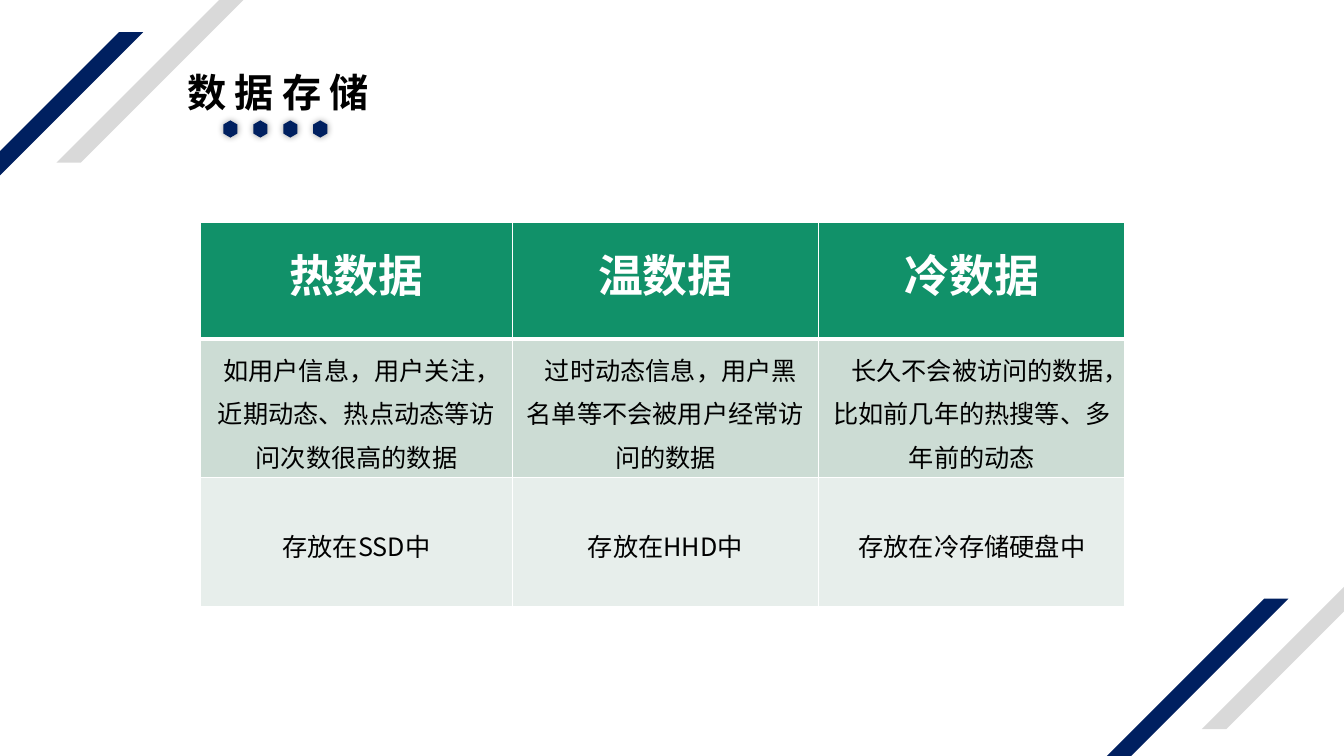
from dataclasses import dataclass
from typing import Any, NamedTuple

import lxml.etree
import pptx
import pptx.dml.color
import pptx.enum.shapes
import pptx.enum.text
import pptx.oxml.ns
import pptx.util

SLIDE_WIDTH = pptx.util.Inches(13.333)
SLIDE_HEIGHT = pptx.util.Inches(7.5)
SHAPES = pptx.enum.shapes.MSO_SHAPE
CENTER = pptx.enum.text.PP_ALIGN.CENTER


@dataclass(frozen=True)
class Theme:
    font: str = "Noto Sans CJK SC"
    navy: str = "002060"
    grey: str = "D9D9D9"
    black: str = "000000"
    white: str = "FFFFFF"
    green: str = "119169"
    sage: str = "CCDCD4"
    mist: str = "E7EEEB"
    title_size: int = 28
    heading_size: int = 32
    body_size: int = 18
    title_spacing: int = 6
    thin_rule: int = 1
    thick_rule: int = 3


THEME = Theme()


class Box(NamedTuple):
    left: float
    top: float
    width: float
    height: float


@dataclass(frozen=True)
class Ornament:
    preset: Any
    box: Box
    color: str
    adjustment: float
    rotation: int = 0
    glow: bool = False


@dataclass(frozen=True)
class StorageRow:
    height: float
    texts: tuple[str, str, str]
    fill: str
    color: str = THEME.black
    size: int = THEME.body_size
    bold: bool = False
    indent: float = 0
    margin_top: float = 0.05
    top_rule: int = THEME.thin_rule
    bottom_rule: int = THEME.thin_rule


STRIPE_CORNERS = ((-10.58, 4.27), (74.64, 79.2))
STRIPE_STEP = (14.78, -17.27)
STRIPE_SIZE = (21.23, 34.53)
STRIPES = [
    Ornament(
        SHAPES.PARALLELOGRAM,
        Box(left + order * STRIPE_STEP[0], top + order * STRIPE_STEP[1], *STRIPE_SIZE),
        color,
        1.0,
    )
    for left, top in STRIPE_CORNERS
    for order, color in enumerate((THEME.navy, THEME.grey))
]
HEXAGONS = [
    Ornament(SHAPES.HEXAGON, Box(16.5 + 2.23 * order, 16.13, 1.28, 1.87),
             THEME.navy, 0.29, 90, True)
    for order in range(4)
]
TITLE_BOX = Box(13.2, 8.4, 15.83, 7.6)
COLUMN_WIDTHS = (23.18, 22.8, 22.8)
STORAGE_ROWS = (
    StorageRow(15.33, ("热数据", "温数据", "冷数据"), THEME.green, THEME.white,
               THEME.heading_size, True, bottom_rule=THEME.thick_rule),
    StorageRow(
        18.4,
        (
            "如用户信息，用户关注，近期动态、热点动态等访问次数很高的数据",
            "过时动态信息，用户黑名单等不会被用户经常访问的数据",
            "长久不会被访问的数据，比如前几年的热搜等、多年前的动态",
        ),
        THEME.sage,
        indent=0.11,
        top_rule=THEME.thick_rule,
    ),
    StorageRow(17.07, ("存放在SSD中", "存放在HHD中", "存放在冷存储硬盘中"),
               THEME.mist, margin_top=0.42),
)
TABLE_BOX = Box(14.93, 29.47, sum(COLUMN_WIDTHS), sum(row.height for row in STORAGE_ROWS))


def across(percent: float) -> int:
    return round(SLIDE_WIDTH * percent / 100)


def down(percent: float) -> int:
    return round(SLIDE_HEIGHT * percent / 100)


def place(box: Box) -> tuple[int, int, int, int]:
    return across(box.left), down(box.top), across(box.width), down(box.height)


def apply_format(target: Any, values: dict[str, Any]) -> None:
    for attribute, value in values.items():
        setattr(target, attribute, value)


def add_node(parent: Any, tag: str, **attributes: Any) -> Any:
    values = {key: str(value) for key, value in attributes.items()}
    return lxml.etree.SubElement(parent, pptx.oxml.ns.qn(tag), values)


def paint(fill: Any, color: str) -> None:
    fill.solid()
    fill.fore_color.rgb = pptx.dml.color.RGBColor.from_string(color)


def write(paragraph: Any, text: str, size: int, color: str, bold: bool, spacing: int = 0) -> None:
    run = paragraph.add_run()
    run.text = text
    paint(run.font.fill, color)
    apply_format(run.font, {"name": THEME.font, "size": pptx.util.Pt(size), "bold": bold})
    properties = run._r.get_or_add_rPr()
    add_node(properties, "a:ea", typeface=THEME.font)
    for attribute, value in {"lang": "zh-CN", "spc": str(spacing * 100)}.items():
        properties.set(attribute, value)


def draw_ornament(slide: Any, ornament: Ornament) -> None:
    shape = slide.shapes.add_shape(ornament.preset, *place(ornament.box))
    shape.adjustments[0] = ornament.adjustment
    shape.rotation = ornament.rotation
    paint(shape.fill, ornament.color)
    shape.line.fill.background()
    shape.shadow.inherit = False
    if ornament.glow:
        effects = shape._element.spPr.find(pptx.oxml.ns.qn("a:effectLst"))
        shadow = add_node(effects, "a:outerShdw", blurRad=pptx.util.Pt(5), dist=0, dir=0)
        add_node(add_node(shadow, "a:srgbClr", val=THEME.black), "a:alpha", val=40000)


def draw_title(slide: Any) -> None:
    frame = slide.shapes.add_textbox(*place(TITLE_BOX)).text_frame
    apply_format(frame, {
        "word_wrap": False,
        "auto_size": pptx.enum.text.MSO_AUTO_SIZE.SHAPE_TO_FIT_TEXT,
    })
    write(frame.paragraphs[0], "数据存储", THEME.title_size, THEME.black, True,
          THEME.title_spacing)


def draw_rules(cell: Any, row: StorageRow) -> None:
    rules = {"a:lnL": THEME.thin_rule, "a:lnR": THEME.thin_rule,
             "a:lnT": row.top_rule, "a:lnB": row.bottom_rule}
    for tag, width in rules.items():
        rule = add_node(cell._tc.get_or_add_tcPr(), tag, w=pptx.util.Pt(width))
        add_node(add_node(rule, "a:solidFill"), "a:srgbClr", val=THEME.white)


def draw_cell(cell: Any, text: str, row: StorageRow) -> None:
    draw_rules(cell, row)
    paint(cell.fill, row.fill)
    cell.margin_top = pptx.util.Inches(row.margin_top)
    paragraph = cell.text_frame.paragraphs[0]
    apply_format(paragraph, {"alignment": CENTER, "line_spacing": 1.2})
    paragraph._p.get_or_add_pPr().set("indent", str(pptx.util.Inches(row.indent)))
    write(paragraph, text, row.size, row.color, row.bold)


def draw_storage_table(slide: Any) -> None:
    table = slide.shapes.add_table(
        len(STORAGE_ROWS), len(COLUMN_WIDTHS), *place(TABLE_BOX)).table
    apply_format(table, {"first_row": False, "horz_banding": False})
    for column, width in zip(table.columns, COLUMN_WIDTHS):
        column.width = across(width)
    for table_row, row in zip(table.rows, STORAGE_ROWS):
        table_row.height = down(row.height)
        for cell, text in zip(table_row.cells, row.texts):
            draw_cell(cell, text, row)


def main() -> None:
    deck = pptx.Presentation()
    apply_format(deck, {"slide_width": SLIDE_WIDTH, "slide_height": SLIDE_HEIGHT})
    slide = deck.slides.add_slide(deck.slide_layouts[6])
    for stripe in STRIPES:
        draw_ornament(slide, stripe)
    draw_title(slide)
    for hexagon in HEXAGONS:
        draw_ornament(slide, hexagon)
    draw_storage_table(slide)
    deck.save("out.pptx")


if __name__ == "__main__":
    main()
